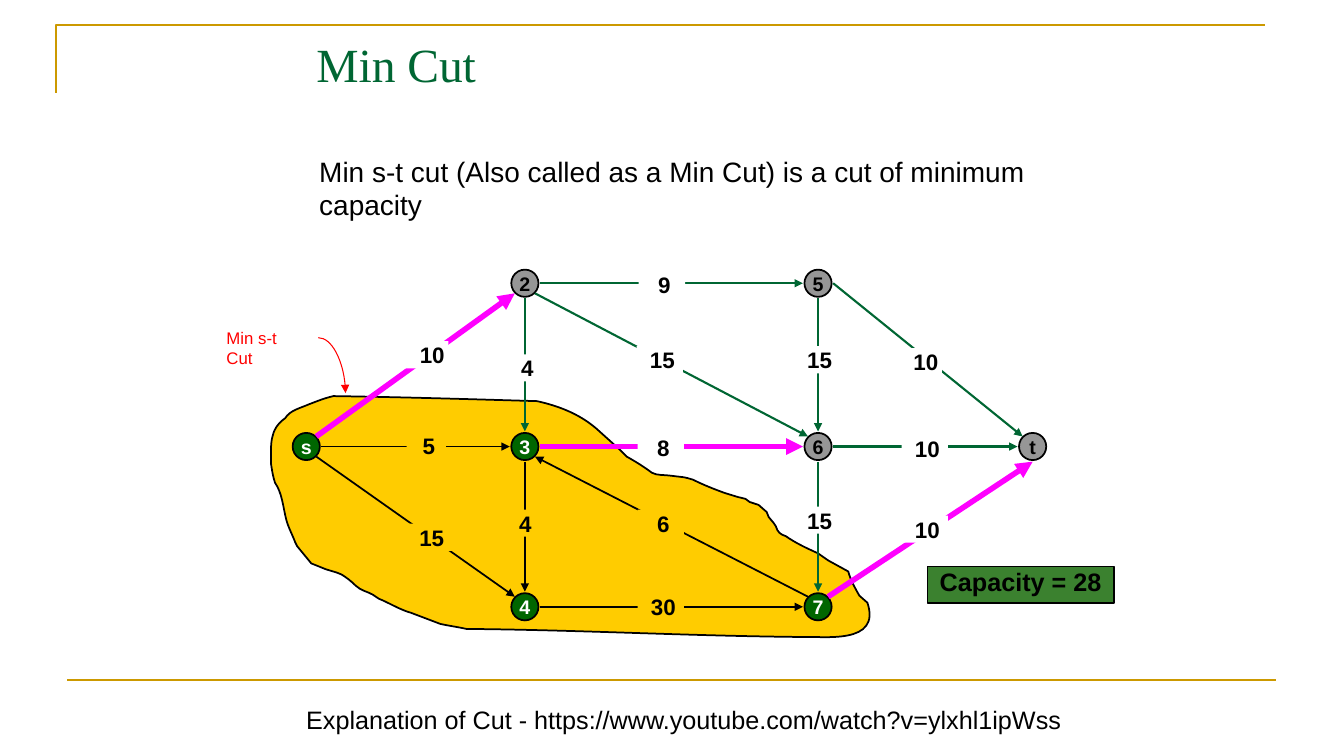
from lxml import etree
from pptx import Presentation
from pptx.dml.color import RGBColor
from pptx.enum.shapes import MSO_CONNECTOR, MSO_SHAPE
from pptx.enum.text import MSO_ANCHOR, MSO_AUTO_SIZE, PP_ALIGN
from pptx.oxml.ns import qn
from pptx.util import Inches, Pt

STRAIGHT, CURVE = MSO_CONNECTOR.STRAIGHT, MSO_CONNECTOR.CURVE
OVAL, RECTANGLE = MSO_SHAPE.OVAL, MSO_SHAPE.RECTANGLE
LEFT, CENTER = PP_ALIGN.LEFT, PP_ALIGN.CENTER
TOP, MIDDLE = MSO_ANCHOR.TOP, MSO_ANCHOR.MIDDLE
FIXED, GROW = MSO_AUTO_SIZE.NONE, MSO_AUTO_SIZE.SHAPE_TO_FIT_TEXT

BLACK, WHITE, GOLD, GREEN = "000000", "FFFFFF", "CC9900", "006633"
RED, PINK, AMBER, GREY, DARK_GREEN = "FF0000", "FF00FF", "FFCC00", "969696", "006600"

# Nodes: column and row of the network, and whether they lie in the cut
COLUMNS, ROWS = (0.89, 3.06, 5.97, 8.1), (0.16, 1.78, 3.37)
NODES = {"s": (0, 1, True), "2": (1, 0, False), "3": (1, 1, True), "4": (1, 2, True),
         "5": (2, 0, False), "6": (2, 1, False), "7": (2, 2, True), "t": (3, 1, False)}
NODE_SIZE = 0.27
PORTS = {"e": (0.15, 0), "w": (-0.15, 0), "n": (0, -0.15), "s": (0, 0.15),
         "ne": (0.1, -0.1), "nw": (-0.1, -0.1), "se": (0.1, 0.1), "sw": (-0.1, 0.1)}

# Edge styles: line colour, line width, label background
STYLES = {"inside": (BLACK, 1.25, AMBER), "crossing": (PINK, 4, WHITE),
          "outside": (GREEN, 1.5, WHITE)}
# Edges: start, port, end, port, style, capacity, label centre, label indent
EDGES = [
    ("s", "ne", "2", "sw", "crossing", "10", (2.07, 0.87), 0.14),
    ("s", "e", "3", "w", "inside", "5", (2.08, 1.77), 0.05),
    ("s", "se", "4", "nw", "inside", "15", (2.11, 2.68), 0.05),
    ("3", "e", "6", "w", "crossing", "8", (4.41, 1.79), 0.05),
    ("7", "nw", "3", "se", "inside", "6", (4.41, 2.54), 0.05),
    ("3", "s", "4", "n", "inside", "4", (3.04, 2.54), 0.05),
    ("2", "e", "5", "w", "outside", "9", (4.42, 0.17), 0.05),
    ("4", "e", "7", "w", "inside", "30", (4.41, 3.37), 0.05),
    ("2", "s", "3", "n", "outside", "4", (3.06, 1), 0.05),
    ("6", "s", "7", "n", "outside", "15", (5.96, 2.51), 0.05),
    ("5", "s", "6", "n", "outside", "15", (5.96, 0.92), 0.05),
    ("2", "se", "6", "nw", "outside", "15", (4.4, 0.92), 0.05),
    ("5", "e", "t", "nw", "outside", "10", (6.97, 0.94), 0.14),
    ("6", "e", "t", "w", "outside", "10", (7.03, 1.8), 0.05),
    ("7", "ne", "t", "s", "crossing", "10", (7.03, 2.6), 0.05),
]

# Outline of the cut, from its own corner: points, or cubic curves of three points
CUT_OUTLINE = [
    (5.03, 1.29), (5.05, 1.35, 5.07, 1.37, 5.13, 1.39), (5.23, 1.46, 5.34, 1.51, 5.45, 1.56),
    (5.55, 1.63), (5.75, 1.74), (5.77, 1.82, 5.82, 1.91, 5.86, 1.98), (5.94, 2.05),
    (6.08, 2.47, 5.5, 2.38, 5.3, 2.39), (4.17, 2.38, 3.09, 2.32, 1.96, 2.31),
    (1.87, 2.29, 1.79, 2.28, 1.7, 2.26), (1.41, 2.15), (1.3, 2.12, 1.19, 2.05, 1.09, 2.01),
    (1.03, 1.97), (0.98, 1.94, 0.91, 1.93, 0.86, 1.88), (0.82, 1.84, 0.77, 1.8, 0.72, 1.77),
    (0.66, 1.74, 0.58, 1.73, 0.52, 1.7), (0.42, 1.66), (0.28, 1.49), (0.26, 1.45),
    (0.23, 1.37, 0.19, 1.3, 0.17, 1.22), (0.14, 1.1, 0.13, 0.96, 0.06, 0.86),
    (0.04, 0.8, 0.03, 0.74, 0.02, 0.67), (0.02, 0.49, 0, 0.33, 0.16, 0.22),
    (0.21, 0.14, 0.31, 0.12, 0.4, 0.08), (0.48, 0.05, 0.55, 0.02, 0.64, 0),
    (1.32, 0.01, 1.98, 0.03, 2.66, 0.05), (2.89, 0.1, 3.11, 0.19, 3.28, 0.35),
    (3.48, 0.53), (3.55, 0.6), (3.64, 0.65, 3.72, 0.7, 3.8, 0.76),
    (3.85, 0.79, 3.93, 0.78, 3.99, 0.79), (4.15, 0.81, 4.11, 0.8, 4.21, 0.83),
    (4.31, 0.88, 4.41, 0.92, 4.52, 0.96), (4.65, 1), (4.73, 1.02), (4.77, 1.05),
    (4.86, 1.08), (4.94, 1.15), (4.96, 1.2), (5.01, 1.26),
]


def color(value):
    return RGBColor.from_string(value)


def paint(shape, fill=None, line=None, width=1.25):
    shape.shadow.inherit = False
    for part, value in ((shape.fill, fill), (shape.line.fill, line)):
        if value:
            part.solid()
            part.fore_color.rgb = color(value)
        else:
            part.background()
    if line:
        shape.line.width = Pt(width)


def write(shape, text, size, text_color=BLACK, bold=False, name="Arial", align=LEFT,
          anchor=TOP, wrap=False, resize=FIXED, margins=(0.1, 0.05, 0.1, 0.05)):
    frame = shape.text_frame
    frame.text = text
    left, top, right, bottom = (Inches(margin) for margin in margins)
    settings = {"word_wrap": wrap, "auto_size": resize, "vertical_anchor": anchor,
                "margin_left": left, "margin_top": top, "margin_right": right,
                "margin_bottom": bottom}
    for attribute, value in settings.items():
        setattr(frame, attribute, value)
    paragraph = frame.paragraphs[0]
    paragraph.alignment = align
    font = paragraph.runs[0].font
    for attribute, value in {"size": Pt(size), "bold": bold, "name": name}.items():
        setattr(font, attribute, value)
    font.color.rgb = color(text_color)


def add_text(slide, box, text, size, **formats):
    shape = slide.shapes.add_textbox(*map(Inches, box))
    write(shape, text, size, resize=GROW, **formats)


def add_line(slide, start, end, line, width, arrow=True, kind=STRAIGHT):
    connector = slide.shapes.add_connector(kind, *map(Inches, (*start, *end)))
    connector.line.color.rgb = color(line)
    connector.line.width = Pt(width)
    properties = connector._element.spPr
    if arrow:
        etree.SubElement(properties.find(qn("a:ln")), qn("a:tailEnd"), type="triangle")
    etree.SubElement(properties, qn("a:effectLst"))
    return connector


def add_outline(slide, left, top, segments, closed):
    """Draw points and cubic curves, given relative to left and top."""
    points = [(Inches(left + x), Inches(top + y))
              for segment in segments for x, y in zip(segment[::2], segment[1::2])]
    builder = slide.shapes.build_freeform(*points[0])
    builder.add_line_segments(points[1:], close=closed)
    shape = builder.convert_to_shape()
    # Join the three points of each curve into one curve element
    steps = iter(list(shape._element.iter(qn("a:lnTo"))))
    for segment in segments[1:]:
        step = next(steps)
        if len(segment) == 6:
            step.tag = qn("a:cubicBezTo")
            for _ in range(2):
                extra = next(steps)
                step.append(extra[0])
                extra.getparent().remove(extra)
    return shape


def add_frame(slide, left, top, width):
    corner = add_outline(slide, left, top, [(0, 0.67), (0, 0), (width, 0)], False)
    paint(corner, line=GOLD, width=1.5)
    add_line(slide, (left + 0.11, top + 6.5), (left + 0.11 + width, top + 6.5), GOLD, 1.5, False)


def add_title(slide, box, text):
    title = slide.shapes.title
    for attribute, value in zip(("left", "top", "width", "height"), box):
        setattr(title, attribute, Inches(value))
    write(title, text, 34, GREEN, name="Times New Roman", anchor=MIDDLE, wrap=True,
          margins=(0.1, 0.05, 0.1, 0.09))


def add_cut(slide, left, top):
    paint(add_outline(slide, left, top, CUT_OUTLINE, True), AMBER, BLACK)
    # Callout
    add_text(slide, (left - 0.52, top - 0.73, 1, 0.3), "Min s-t Cut", 12, text_color=RED)
    arrow = add_line(slide, (left + 0.49, top - 0.58), (left + 0.76, top - 0.03), RED, 0.75,
                     kind=CURVE)
    arrow._element.spPr.find(qn("a:prstGeom")).set("prst", "curvedConnector2")


def add_box(slide, kind, center, size, fill, line=None):
    width, height = size
    shape = slide.shapes.add_shape(kind, *map(Inches, (
        center[0] - width / 2, center[1] - height / 2, width, height)))
    paint(shape, fill, line)
    return shape


def add_network(slide, left, top):
    centers = {name: (left + COLUMNS[column], top + ROWS[row])
               for name, (column, row, _) in NODES.items()}

    def port(name, side):
        return tuple(a + b for a, b in zip(centers[name], PORTS[side]))

    # Nodes
    for name, (_, _, in_cut) in NODES.items():
        node = add_box(slide, OVAL, centers[name], (NODE_SIZE, NODE_SIZE),
                       DARK_GREEN if in_cut else GREY, BLACK)
        write(node, name, 14, WHITE if in_cut else BLACK, True, align=CENTER, anchor=MIDDLE)
    # Edges
    for start, start_side, end, end_side, style, *_ in EDGES:
        add_line(slide, port(start, start_side), port(end, end_side), *STYLES[style][:2])
    # Capacities
    for *_, style, capacity, (x, y), indent in EDGES:
        width = 0.46 if capacity != "5" else 0.39
        label = add_box(slide, RECTANGLE, (left + x, top + y), (width, 0.27), STYLES[style][2])
        write(label, capacity, 16, bold=True, align=CENTER, anchor=MIDDLE, wrap=True,
              margins=(indent, 0, 0, 0))
    # Total
    total = add_box(slide, RECTANGLE, (left + 7.98, top + 3.15), (1.85, 0.36), "3B812F", BLACK)
    write(total, "Capacity = 28", 18, bold=True, align=CENTER, wrap=True, margins=(0, 0, 0, 0))


def main():
    presentation = Presentation()
    presentation.slide_width, presentation.slide_height = Inches(13.34), Inches(7.5)
    slide = presentation.slides.add_slide(presentation.slide_layouts[5])
    add_frame(slide, 0.56, 0.25, 12)
    add_title(slide, (3.04, 0.3, 9, 0.7), "Min Cut")
    add_text(slide, (3.07, 1.48, 8.3, 0.44),
             "Min s-t cut (Also called as a Min Cut) is a cut of minimum capacity", 20)
    add_cut(slide, 2.67, 3.93)
    add_network(slide, 2.15, 2.65)
    add_text(slide, (2.94, 6.94, 7.71, 0.4),
             "Explanation of Cut - https://www.youtube.com/watch?v=ylxhl1ipWss", 18)
    presentation.save("out.pptx")


if __name__ == "__main__":
    main()
